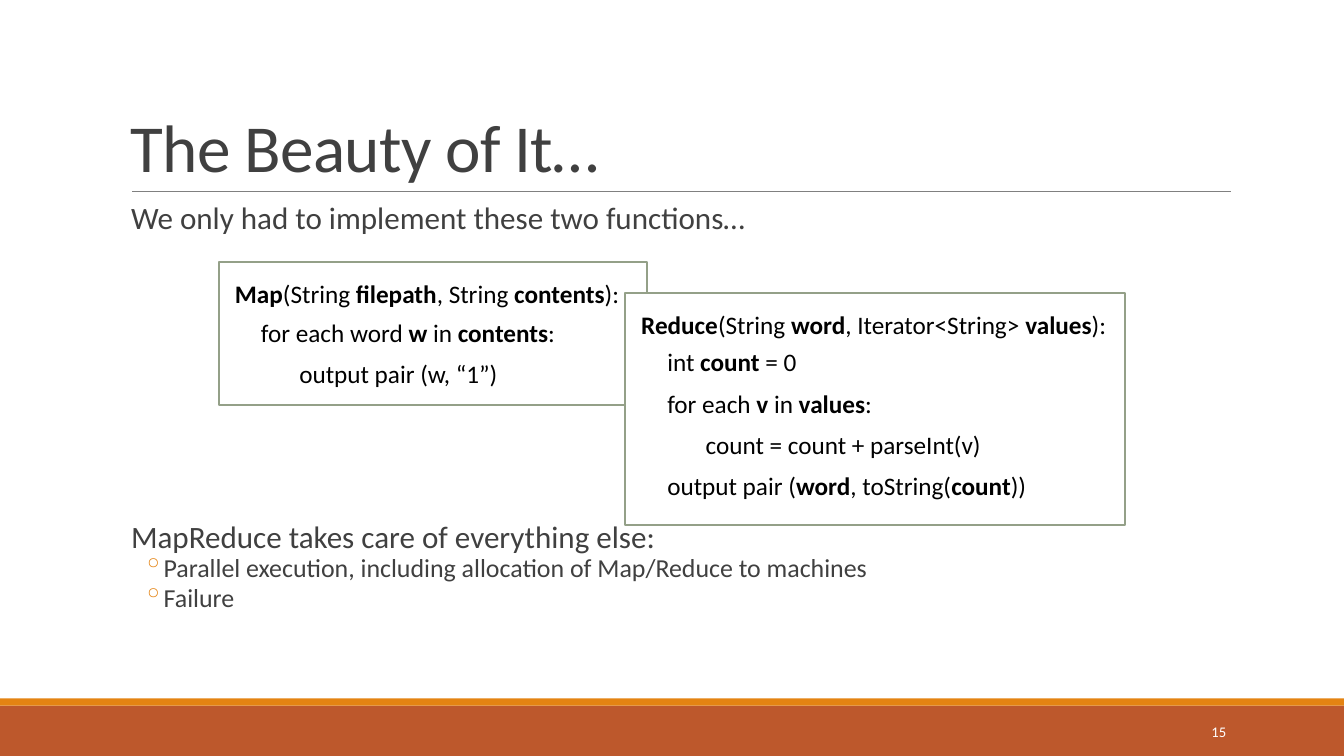
from dataclasses import dataclass
from lxml.etree import SubElement
from pptx import Presentation
from pptx.dml.color import RGBColor
from pptx.enum.shapes import MSO_CONNECTOR, MSO_SHAPE
from pptx.enum.text import MSO_ANCHOR, PP_ALIGN
from pptx.oxml.ns import qn
from pptx.util import Inches, Pt


@dataclass(frozen=True)
class Theme:
    font: str = "Calibri"
    ink: str = "404040"
    code: str = "000000"
    paper: str = "FFFFFF"
    rust: str = "BD582C"
    gold: str = "E48312"
    rule: str = "808080"
    edge: str = "94A088"
    title: float = 48
    body: float = 22.2
    item: float = 18.5
    mono: float = 18
    page: float = 10.5


THEME = Theme()
WIDE, HIGH = 13.33, 7.5


def hue(code):
    return RGBColor.from_string(code)


def add_run(para, text, size, color, bold=False):
    run = para.add_run()
    run.text = text
    font = run.font
    font.name, font.size, font.bold = THEME.font, Pt(size), bold
    font.color.rgb = hue(color)
    return run


def add_code(para, line):
    """Add a line of code in which *stars* mark the bold names."""
    for i, part in enumerate(line.split("*")):
        if part:
            add_run(para, part, THEME.mono, THEME.code, i % 2 == 1)


def add_box(shapes, box, wrap=True, anchor=MSO_ANCHOR.TOP):
    frame = shapes.add_textbox(*map(Inches, box)).text_frame
    frame.word_wrap = wrap
    frame.vertical_anchor = anchor
    return frame


def add_rect(shapes, box, fill, line=None):
    rect = shapes.add_shape(MSO_SHAPE.RECTANGLE, *map(Inches, box))
    rect.shadow.inherit = False
    rect.fill.solid()
    rect.fill.fore_color.rgb = hue(fill)
    if line:
        rect.line.color.rgb = hue(line)
        rect.line.width = Pt(1.25)
    else:
        rect.line.fill.background()
    return rect


def add_title(slide, box, text):
    left, top, width, height = box
    frame = add_box(slide.shapes, box, anchor=MSO_ANCHOR.BOTTOM)
    para = frame.paragraphs[0]
    para.line_spacing = 0.85
    run = add_run(para, text, THEME.title, THEME.ink)
    run.font._element.set("spc", "-50")
    base = Inches(top + height)
    rule = slide.shapes.add_connector(
        MSO_CONNECTOR.STRAIGHT, Inches(left + 0.11), base,
        Inches(left + width + 0.01), base)
    rule.line.color.rgb = hue(THEME.rule)
    rule.line.width = Pt(0.5)
    SubElement(rule._element.spPr, qn("a:effectLst"))


def set_bullet(para):
    props = para._p.get_or_add_pPr()
    props.set("marL", str(Inches(0.42)))
    props.set("indent", str(Inches(-0.2)))
    color = SubElement(props, qn("a:buClr"))
    SubElement(color, qn("a:srgbClr")).set("val", THEME.gold)
    SubElement(props, qn("a:buChar")).set("char", "◦")


def add_body(slide, box, lead, items=()):
    """Place a lead line with its bullet items below."""
    frame = add_box(slide.shapes, box)
    frame.margin_left = frame.margin_right = 0
    para = frame.paragraphs[0]
    para._p.get_or_add_pPr().set("marL", str(Inches(0.1)))
    para.line_spacing = 0.7
    para.space_after = Pt(2)
    add_run(para, lead, THEME.body, THEME.ink)
    for item in items:
        para = frame.add_paragraph()
        para.line_spacing = 0.7
        para.space_before, para.space_after = Pt(2), Pt(4)
        set_bullet(para)
        add_run(para, item, THEME.item, THEME.ink)


def add_func(slide, box, first, head, rows):
    """Frame a function: its head, then (depth, line) rows from offset first."""
    shapes = slide.shapes.add_group_shape().shapes
    left, top, width, _ = box
    rect = add_rect(shapes, box, THEME.paper, THEME.edge)
    frame = rect.text_frame
    frame.word_wrap = True
    frame.vertical_anchor = MSO_ANCHOR.TOP
    frame.margin_left = frame.margin_right = Inches(0.16)
    frame.margin_top = frame.margin_bottom = Inches(0.16)
    para = frame.paragraphs[0]
    para.alignment = PP_ALIGN.LEFT
    add_code(para, head)
    for i, (depth, line) in enumerate(rows):
        shift = 0.32 + 0.38 * depth
        place = (left + shift, top + first + 0.41 * i, width - shift - 0.2, 0.4)
        add_code(add_box(shapes, place, wrap=False).paragraphs[0], line)


def add_foot(slide, box, page):
    left, top, width, height = box
    add_rect(slide.shapes, box, THEME.rust)
    add_rect(slide.shapes, (left, top - 0.07, width, 0.07), THEME.gold)
    place = (left + width - 2.5, top + 0.06, 1.43, 0.4)
    frame = add_box(slide.shapes, place, anchor=MSO_ANCHOR.MIDDLE)
    para = frame.paragraphs[0]
    para.alignment = PP_ALIGN.RIGHT
    add_run(para, page, THEME.page, THEME.paper)


def main():
    deck = Presentation()
    deck.slide_width, deck.slide_height = Inches(WIDE), Inches(HIGH)
    slide = deck.slides.add_slide(deck.slide_layouts[6])
    add_foot(slide, (0, 7, WIDE, 0.5), "15")
    add_title(slide, (1.2, 0.31, 11, 1.59), "The Beauty of It…")
    add_body(slide, (1.2, 2.02, 11, 0.4),
             "We only had to implement these two functions…")
    add_body(slide, (1.2, 5.19, 11, 1.23),
             "MapReduce takes care of everything else:",
             ["Parallel execution, including allocation of Map/Reduce to machines",
              "Failure"])
    add_func(slide, (2.17, 2.6, 4.25, 1.42), 0.5,
             "*Map*(String *filepath*, String *contents*):",
             [(0, "for each word *w* in *contents*:"),
              (1, "output pair (w, “1”)")])
    add_func(slide, (6.2, 2.91, 4.96, 2.3), 0.48,
             "*Reduce*(String *word*, Iterator<String> *values*):",
             [(0, "int *count* = 0"),
              (0, "for each *v* in *values*:"),
              (1, "count = count + parseInt(v)"),
              (0, "output pair (*word*, toString(*count*))")])
    deck.save("out.pptx")


if __name__ == "__main__":
    main()
